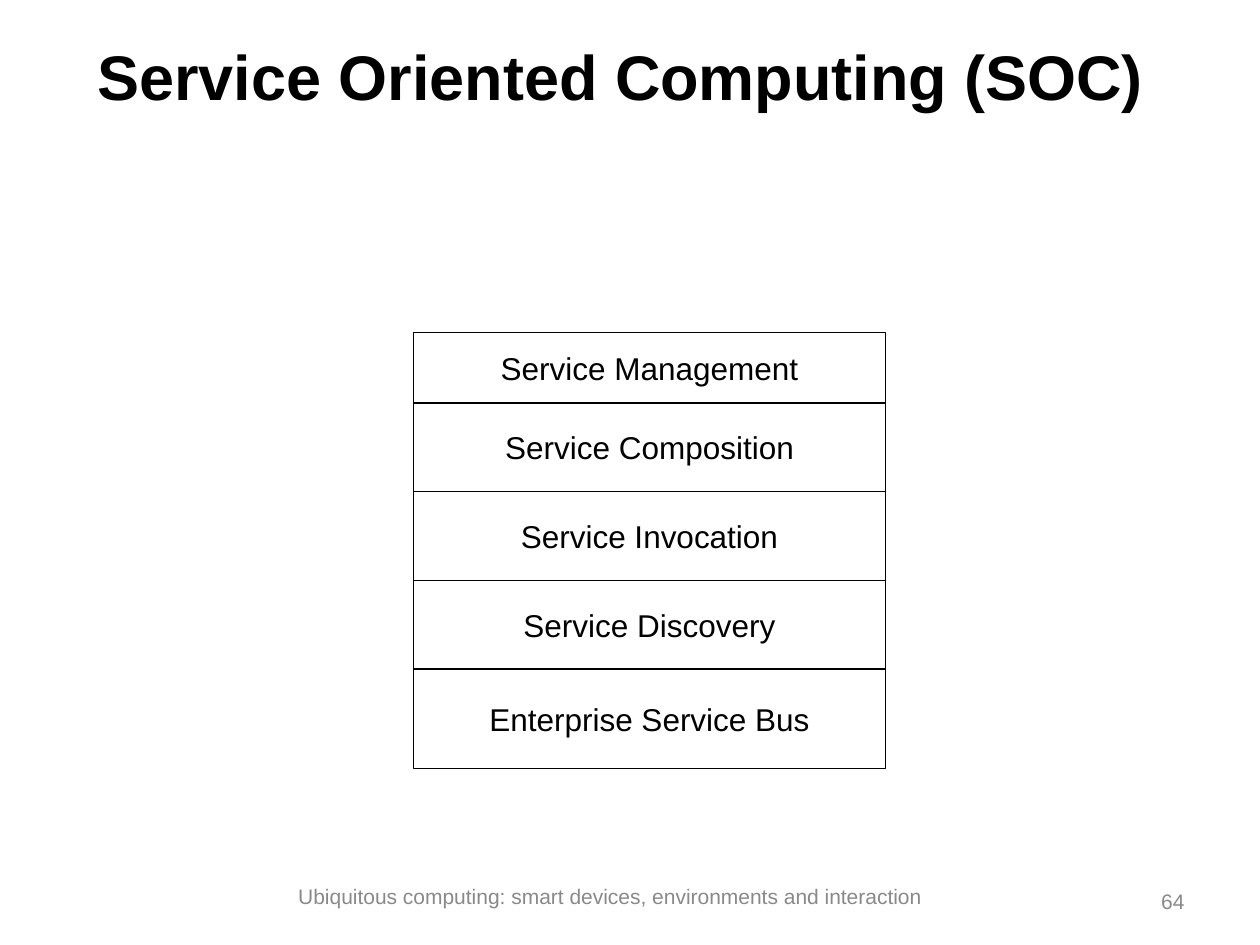
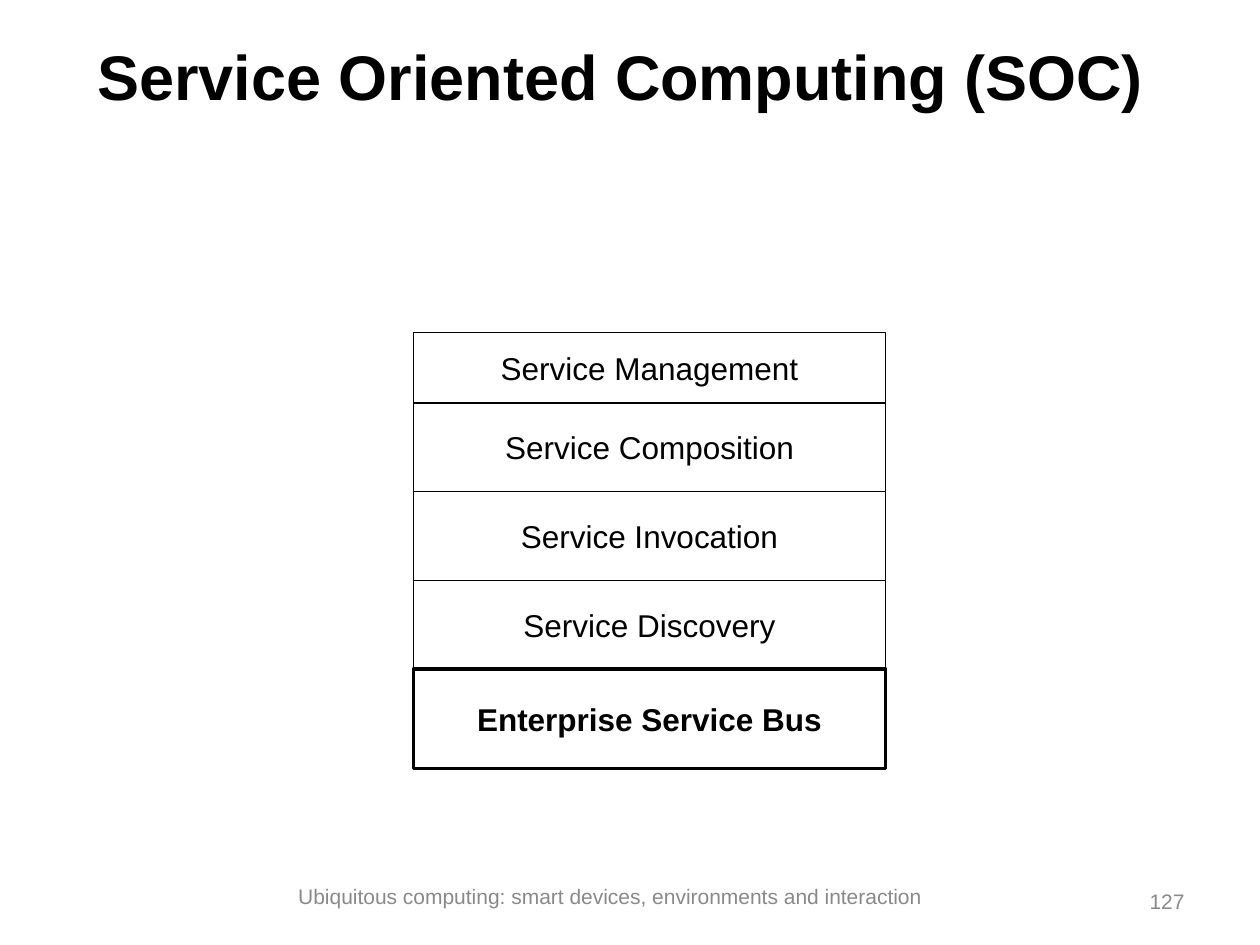
import pptx
import pptx.util
import pptx.dml.color
import pptx.enum.shapes
import pptx.enum.text

Inches = pptx.util.Inches
Pt = pptx.util.Pt
ALIGN = pptx.enum.text.PP_ALIGN
MIDDLE = pptx.enum.text.MSO_ANCHOR.MIDDLE

BLACK = pptx.dml.color.RGBColor(0x00, 0x00, 0x00)
GREY = pptx.dml.color.RGBColor(0x89, 0x89, 0x89)
FONT = "Arial"
TITLE = "Service Oriented Computing (SOC) "
FOOTER = "Ubiquitous computing: smart devices, environments and interaction"
BUS = "Enterprise Service Bus"
LAYERS_FROM_BOTTOM = [
    (BUS, 0.79),
    ("Service Discovery", 0.7),
    ("Service Invocation", 0.71),
    ("Service Composition", 0.7),
    ("Service Management", 0.56),
]

TITLE_BOX = (0.31, 0.08, 9.37, 1.03)
STACK_BOX = (3.28, 2.64, 3.75, 3.46)
FOOTER_BOX = (2.03, 6.95, 5.63, 0.32)
NUMBER_BOX = (8.91, 6.95, 0.59, 0.4)


def write(holder, text, size, color=BLACK, bold=False, align=ALIGN.CENTER, insets=(0.1, 0.05)):
    frame = holder.text_frame
    frame.word_wrap = True
    frame.auto_size = pptx.enum.text.MSO_AUTO_SIZE.NONE
    frame.vertical_anchor = MIDDLE
    frame.margin_left = frame.margin_right = Inches(insets[0])
    frame.margin_top = frame.margin_bottom = Inches(insets[1])
    frame.text = text
    line = frame.paragraphs[0]
    line.alignment = align
    font = line.runs[0].font
    font.name, font.size, font.bold = FONT, Pt(size), bold
    font.color.rgb = color


def add_title(slide, box):
    heading = slide.shapes.title
    heading.left, heading.top, heading.width, heading.height = map(Inches, box)
    write(heading, TITLE, 36, bold=True)


def add_service_stack(slide, box, emphasised):
    left, top, width, height = box
    base = top + height
    for service, layer_height in LAYERS_FROM_BOTTOM:
        base -= layer_height
        strong = service == emphasised
        layer = slide.shapes.add_shape(
            pptx.enum.shapes.MSO_SHAPE.RECTANGLE,
            *map(Inches, (left, base, width, layer_height)))
        layer.shadow.inherit = False
        layer.fill.background()
        layer.line.color.rgb = BLACK
        layer.line.width = Pt(2 if strong else 0.75)
        write(layer, service, 18, bold=strong, insets=(0.02, 0.01))


def add_footer_text(slide, box, text, align):
    write(slide.shapes.add_textbox(*map(Inches, box)), text, 12, GREY, align=align)


def add_soc_slide(deck, number, emphasised=None):
    slide = deck.slides.add_slide(deck.slide_layouts[5])
    add_title(slide, TITLE_BOX)
    add_service_stack(slide, STACK_BOX, emphasised)
    add_footer_text(slide, NUMBER_BOX, str(number), ALIGN.RIGHT)
    add_footer_text(slide, FOOTER_BOX, FOOTER, ALIGN.CENTER)


def main():
    deck = pptx.Presentation()
    deck.slide_width, deck.slide_height = Inches(10), Inches(7.5)
    add_soc_slide(deck, 64)
    add_soc_slide(deck, 127, emphasised=BUS)
    deck.save("out.pptx")


if __name__ == "__main__":
    main()
